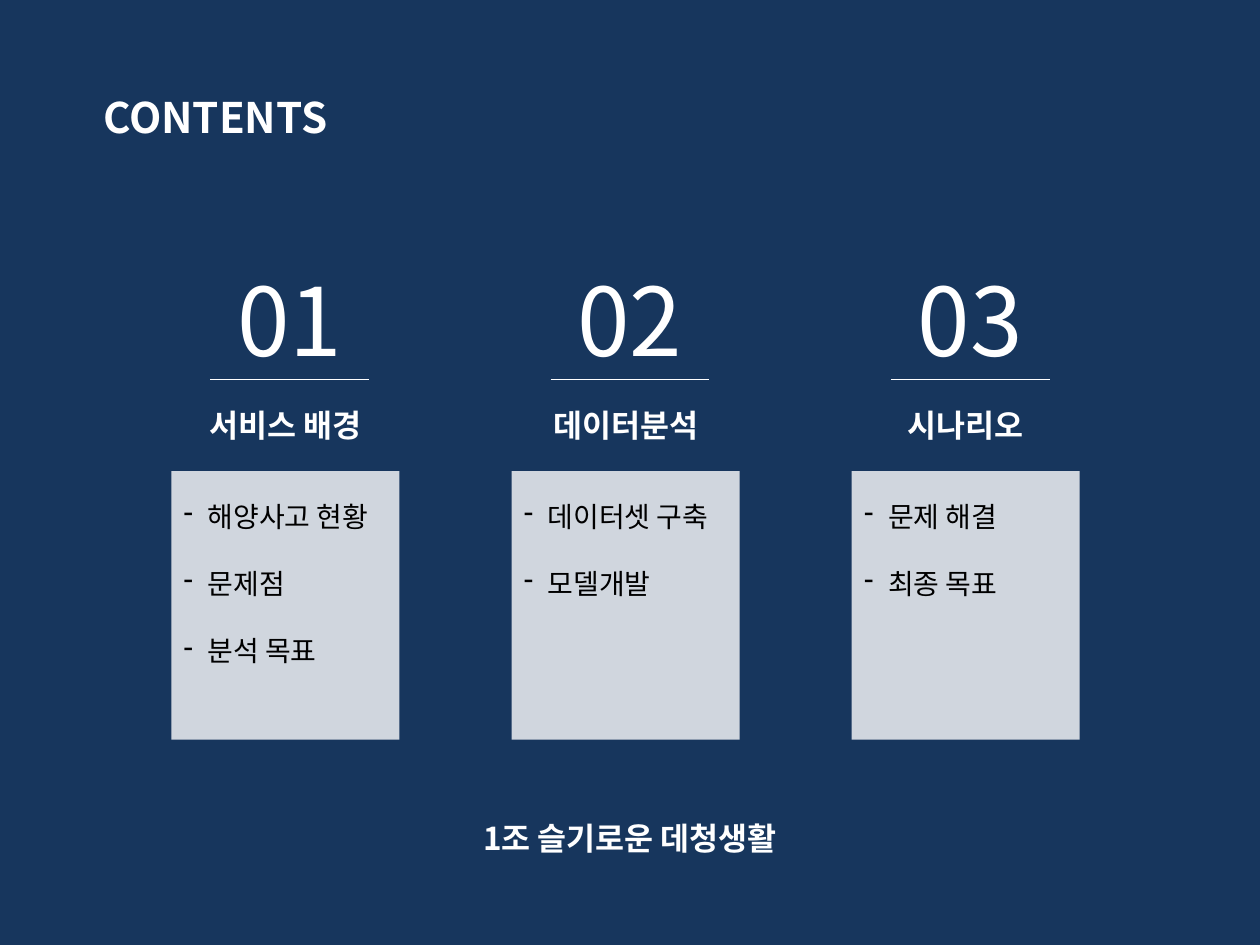
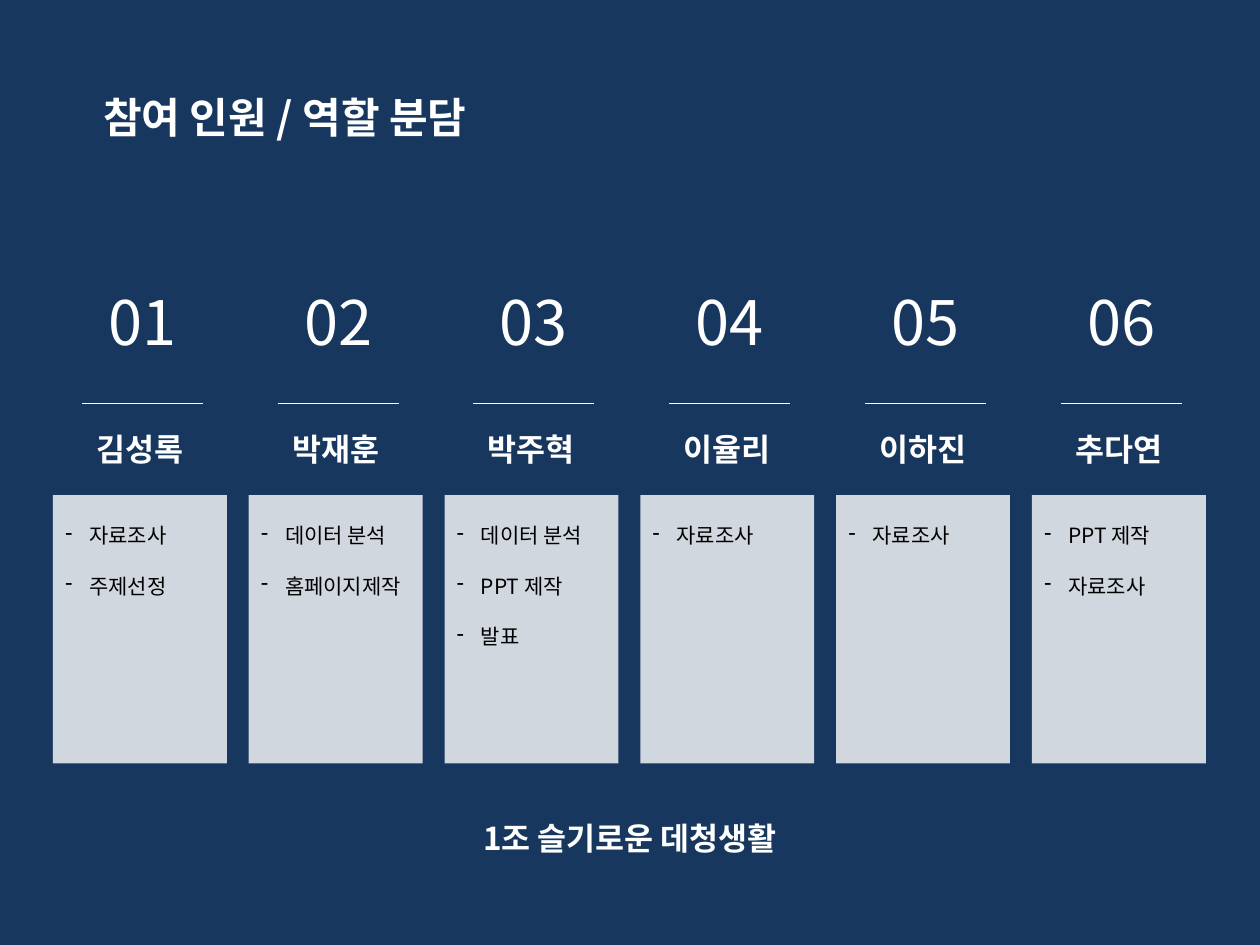
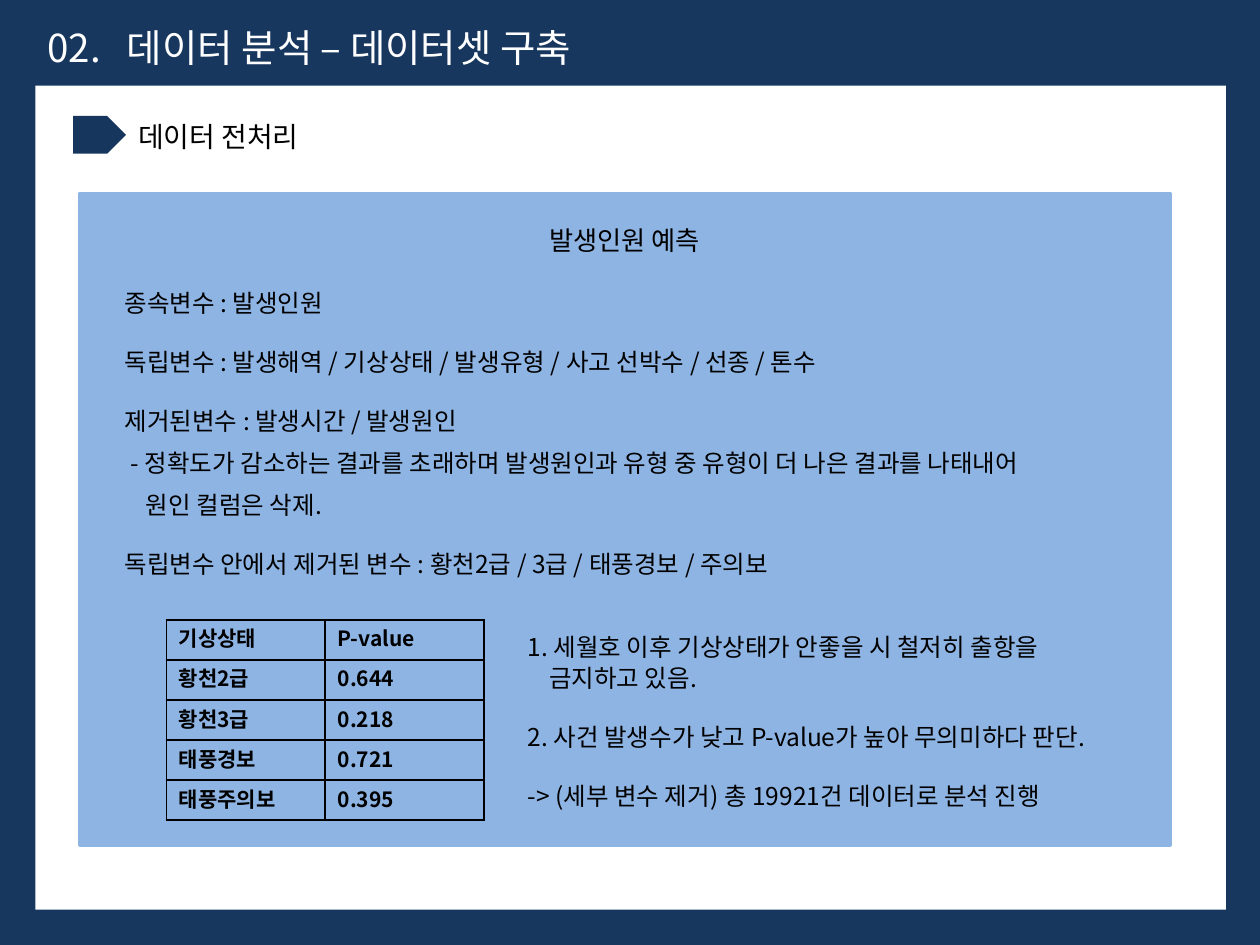
from dataclasses import dataclass

import pptx
import pptx.dml.color
import pptx.enum.shapes
import pptx.enum.text
import pptx.oxml
import pptx.oxml.ns
import pptx.util

Inches = pptx.util.Inches
Pt = pptx.util.Pt
Shape = pptx.enum.shapes.MSO_SHAPE
Align = pptx.enum.text.PP_ALIGN
NS = pptx.oxml.ns.nsdecls("a")


@dataclass(frozen=True)
class Theme:
    font: str = "Noto Sans CJK KR"
    navy: str = "17365D"
    deep: str = "17375E"
    white: str = "FFFFFF"
    black: str = "000000"
    sky: str = "8EB4E3"
    card_alpha: int = 80000
    title: int = 24
    header: int = 22
    label: int = 18
    section: int = 16
    subject: int = 15
    body: int = 14
    cell: int = 12
    leading: float = 1.25
    gap: float = 1.16


@dataclass(frozen=True)
class ColumnStyle:
    left: float
    top: float
    pitch: float
    width: float
    rule_inset: float
    rule_width: float
    number_size: int
    item_size: int


THEME = Theme()
CONTENTS = ColumnStyle(1.36, 1.99, 2.7, 1.81, 0.31, 1.26, 54, 16)
MEMBERS = ColumnStyle(0.42, 2.18, (8.19 - 0.42) / 5, 1.38, 0.23, 0.96, 35, 12)


def rgb(value):
    return pptx.dml.color.RGBColor.from_string(value)


def element(xml):
    return pptx.oxml.parse_xml(xml)


def format_paragraph(p, size, color, bold=False, align=None, before=0):
    p.line_spacing = Pt(size * THEME.leading)
    p.space_before = Pt(before)
    if align is not None:
        p.alignment = align
    for r in p.runs:
        r.font.name = THEME.font
        r.font.size = Pt(size)
        r.font.bold = bold
        r.font.color.rgb = rgb(color)
        r._r.get_or_add_rPr().append(
            element(f'<a:ea {NS} typeface="{THEME.font}"/>'))


def set_indent(p, margin, first=0):
    pPr = p._p.get_or_add_pPr()
    pPr.set("marL", str(Inches(margin)))
    pPr.set("indent", str(Inches(first)))
    return pPr


def add_text(s, box, lines, size, color, bold=False, align=None, gaps=None):
    sp = s.shapes.add_textbox(*map(Inches, box))
    tf = sp.text_frame
    tf.word_wrap = True
    tf.text = "\n".join(lines)
    for i, p in enumerate(tf.paragraphs):
        gap = gaps[i] if gaps else THEME.gap * size
        format_paragraph(p, size, color, bold, align, gap if i else 0)
    return tf


def add_block(s, box, color, kind=Shape.RECTANGLE, line=None):
    sp = s.shapes.add_shape(kind, *map(Inches, box))
    sp.shadow.inherit = False
    sp.fill.solid()
    sp.fill.fore_color.rgb = rgb(color)
    if line:
        sp.line.color.rgb = rgb(color)
        sp.line.width = Pt(line)
    else:
        sp.line.fill.background()
    return sp


def add_rule(s, x, y, width):
    line = s.shapes.add_connector(
        pptx.enum.shapes.MSO_CONNECTOR.STRAIGHT,
        Inches(x), Inches(y), Inches(x + width), Inches(y))
    line.line.color.rgb = rgb(THEME.white)
    line.line.width = Pt(0.75)
    line._element.spPr.append(element(f"<a:effectLst {NS}/>"))


def add_slide(prs, background):
    s = prs.slides.add_slide(prs.slide_layouts[6])
    s.background.fill.solid()
    s.background.fill.fore_color.rgb = rgb(background)
    return s


def add_column(s, x, style, number, name, items):
    y, width = style.top, style.width
    card = add_block(s, (x, y + 1.75, width, 2.13), THEME.white)
    color = card.fill._xPr.find(".//" + pptx.oxml.ns.qn("a:srgbClr"))
    color.append(element(f'<a:alpha {NS} val="{THEME.card_alpha}"/>'))
    tf = add_text(s, (x, y + 1.91, width, 1.45), items,
                  style.item_size, THEME.black)
    for p in tf.paragraphs:
        pPr = set_indent(p, 0.19, -0.19)
        pPr.append(element(
            f'<a:buClr {NS}><a:srgbClr val="{THEME.black}"/></a:buClr>'))
        pPr.append(element(f'<a:buChar {NS} char="-"/>'))
    rule_x = x + style.rule_inset
    add_text(s, (rule_x, y, style.rule_width, 1.01), [f"{number:02d}"],
             style.number_size, THEME.white, align=Align.CENTER)
    add_rule(s, rule_x, y + 1.02, style.rule_width)
    add_text(s, (x, y + 1.17, width, 0.4), [name], THEME.label,
             THEME.white, True, Align.CENTER)


def column_slide(prs, background, title, style, columns):
    s = add_slide(prs, background)
    add_text(s, (0.72, 0.66, 4.57, 0.5), [title], THEME.title,
             THEME.white, True)
    add_text(s, (0, 6.44, 10, 0.4), ["1조 슬기로운 데청생활"], THEME.label,
             THEME.white, True, Align.CENTER)
    for i, (name, items) in enumerate(columns):
        add_column(s, style.left + i * style.pitch, style, i + 1, name, items)


def add_header(s, box, number, title):
    tf = add_text(s, box, [f"{number}\t{title}"], THEME.header, THEME.white)
    tf.paragraphs[0]._p.get_or_add_pPr().append(element(
        f'<a:tabLst {NS}><a:tab pos="{Inches(0.63)}" algn="l"/></a:tabLst>'))


def add_section(s, x, y, title):
    add_text(s, (x + 0.42, y - 0.03, 6.96, 0.37), [title], THEME.section,
             THEME.black)
    add_block(s, (x, y, 0.42, 0.3), THEME.navy, Shape.PENTAGON)


def add_p_values(s, box, rows):
    frame = s.shapes.add_table(len(rows), len(rows[0]), *map(Inches, box))
    table = frame.table
    table.first_row = table.horz_banding = False
    for row, values in zip(table.rows, rows):
        for cell, value in zip(row.cells, values):
            cell.text = value
            cell.vertical_anchor = pptx.enum.text.MSO_ANCHOR.MIDDLE
            format_paragraph(cell.text_frame.paragraphs[0], THEME.cell,
                             THEME.black, True)
            tcPr = cell._tc.get_or_add_tcPr()
            for side in ("lnL", "lnR", "lnT", "lnB"):
                tcPr.append(element(
                    f'<a:{side} {NS} w="{Pt(1)}"><a:solidFill>'
                    f'<a:srgbClr val="{THEME.black}"/></a:solidFill>'
                    f'</a:{side}>'))
            cell.fill.background()


def add_prediction_panel(s, x, y, width, height):
    half = width / 2
    for left in (x + half, x):
        add_block(s, (left, y, half, height), THEME.sky, line=2)
    add_text(s, (x, y + 0.18, width, 0.35), ["발생인원 예측"], THEME.subject,
             THEME.black, align=Align.CENTER)
    wide = THEME.gap * THEME.body
    variables = add_text(s, (x + 0.26, y + 0.69, 8.13, 2.89), [
        "종속변수 : 발생인원",
        "독립변수 : 발생해역 / 기상상태 / 발생유형 / 사고 선박수 / 선종 / 톤수",
        "제거된변수 : 발생시간 / 발생원인",
        "- 정확도가 감소하는 결과를 초래하며 발생원인과 유형 중 유형이 더 나은 결과를 나태내어",
        "원인 컬럼은 삭제.",
        "독립변수 안에서 제거된 변수 : 황천2급 / 3급 / 태풍경보 / 주의보",
    ], THEME.body, THEME.black, gaps=(0, wide, wide, 6.5, 6.5, wide))
    set_indent(variables.paragraphs[3], 0.05)
    set_indent(variables.paragraphs[4], 0.17)
    add_p_values(s, (x + 0.69, y + 3.38, 2.52, 1.59), [
        ("기상상태", "P-value"),
        ("황천2급", "0.644"),
        ("황천3급", "0.218"),
        ("태풍경보", "0.721"),
        ("태풍주의보", "0.395"),
    ])
    notes = add_text(s, (x + 3.46, y + 3.42, 5.15, 1.51), [
        "1. 세월호 이후 기상상태가 안좋을 시 철저히 출항을",
        "금지하고 있음.",
        "2. 사건 발생수가 낮고 P-value가 높아 무의미하다 판단.",
        "-> (세부 변수 제거) 총 19921건 데이터로 분석 진행",
    ], THEME.body, THEME.black, gaps=(0, 0, wide, wide))
    set_indent(notes.paragraphs[1], 0.17)


def dataset_slide(prs):
    s = add_slide(prs, THEME.deep)
    add_block(s, (0.28, 0.68, 9.45, 6.54), THEME.white)
    add_header(s, (0.28, 0.13, 4.76, 0.47), "02.", "데이터 분석 – 데이터셋 구축")
    add_section(s, 0.58, 0.92, "데이터 전처리")
    add_prediction_panel(s, 0.63, 1.54, 8.66, 5.17)


def main():
    prs = pptx.Presentation()
    prs.slide_width, prs.slide_height = Inches(10), Inches(7.5)
    column_slide(prs, THEME.navy, "CONTENTS", CONTENTS, [
        ("서비스 배경", ["해양사고 현황", "문제점", "분석 목표"]),
        ("데이터분석", ["데이터셋 구축", "모델개발"]),
        ("시나리오", ["문제 해결", "최종 목표"]),
    ])
    column_slide(prs, THEME.deep, "참여 인원 / 역할 분담", MEMBERS, [
        ("김성록", ["자료조사", "주제선정"]),
        ("박재훈", ["데이터 분석", "홈페이지제작"]),
        ("박주혁", ["데이터 분석", "PPT 제작", "발표"]),
        ("이율리", ["자료조사"]),
        ("이하진", ["자료조사"]),
        ("추다연", ["PPT 제작", "자료조사"]),
    ])
    dataset_slide(prs)
    prs.save("out.pptx")


if __name__ == "__main__":
    main()
